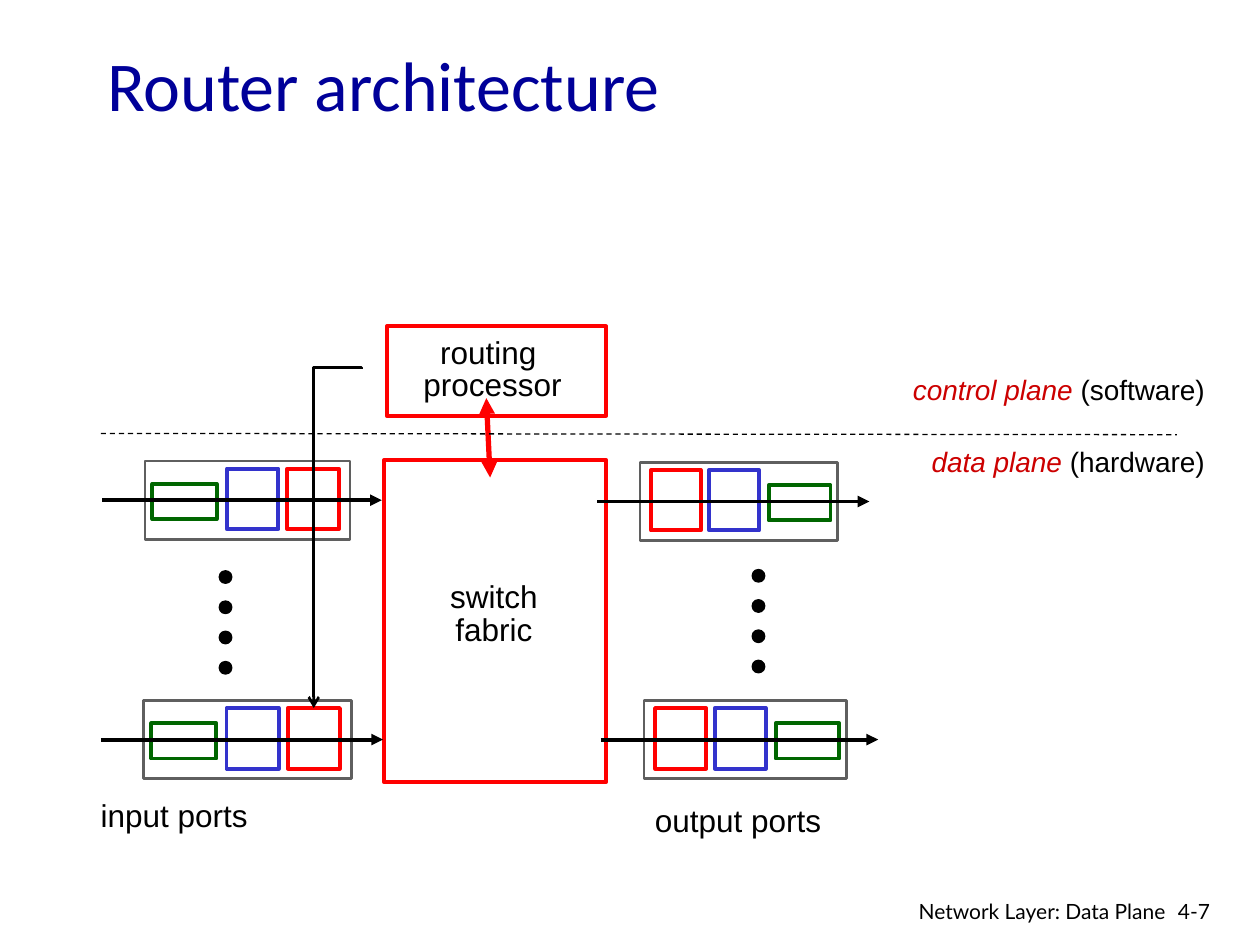
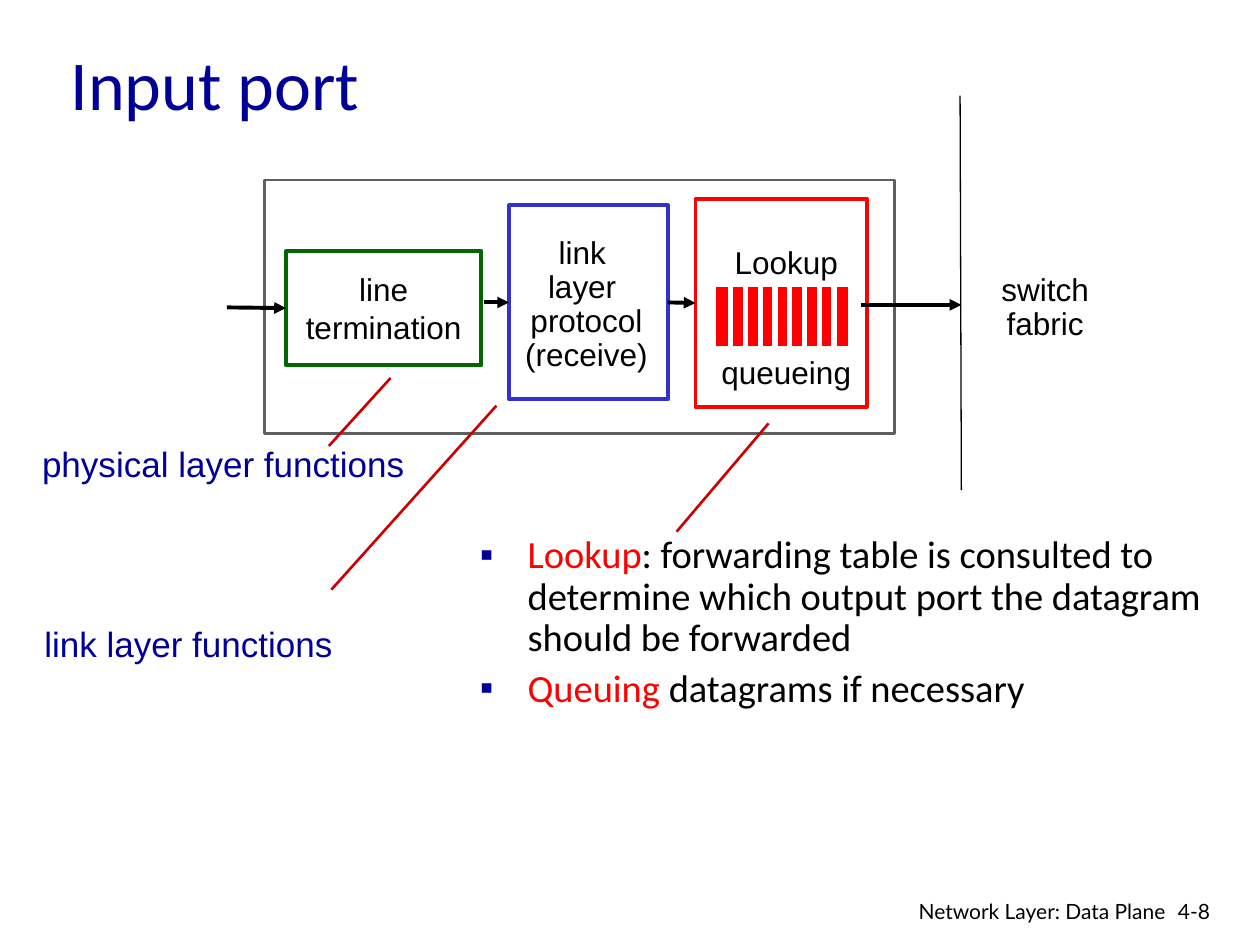
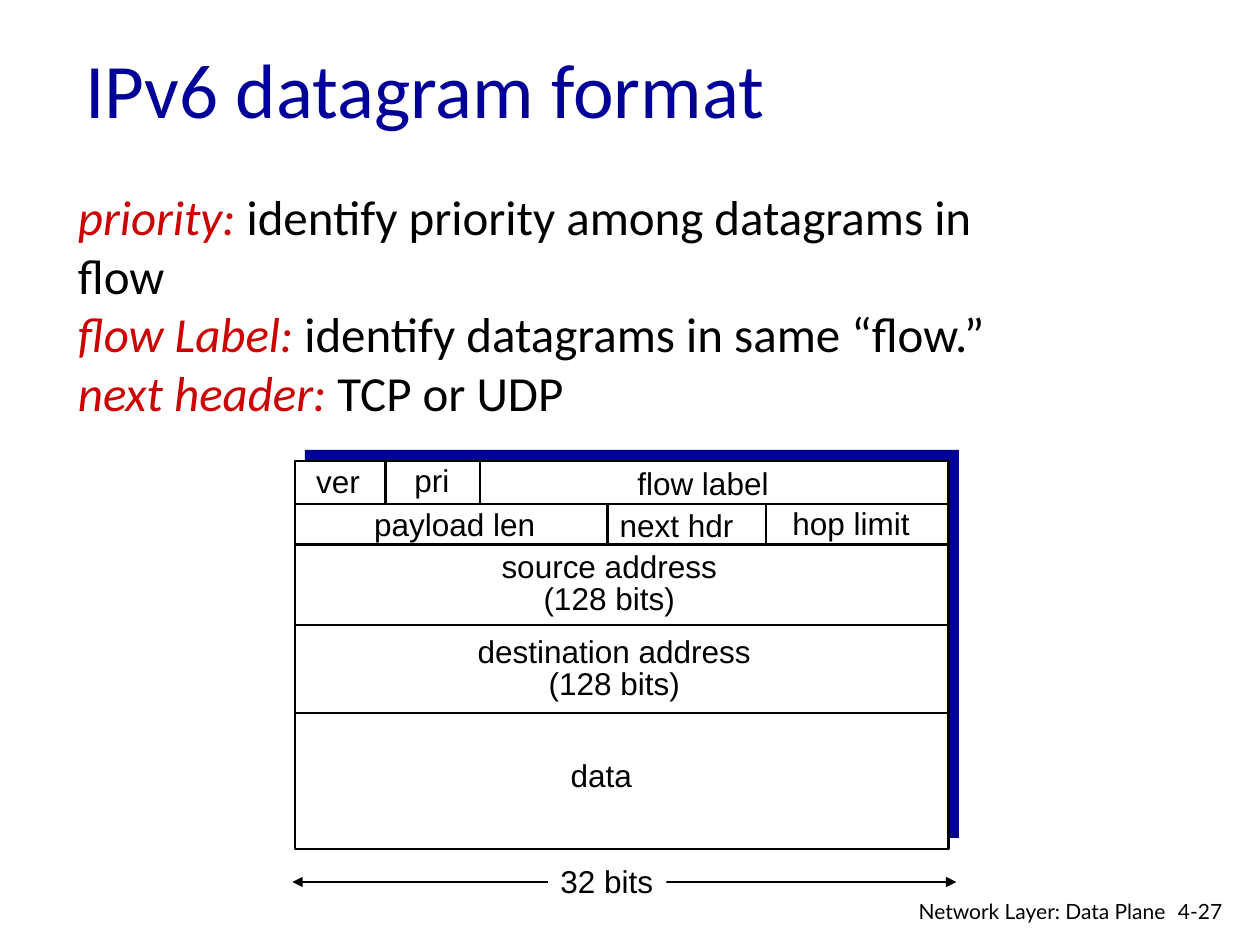
from dataclasses import dataclass
from typing import Any, NamedTuple

import lxml.etree
import pptx
import pptx.dml.color
import pptx.enum.dml
import pptx.enum.shapes
import pptx.enum.text
import pptx.oxml.ns
import pptx.util

Inches = pptx.util.Inches
Pt = pptx.util.Pt
qn = pptx.oxml.ns.qn
RECT = pptx.enum.shapes.MSO_SHAPE.RECTANGLE
OVAL = pptx.enum.shapes.MSO_SHAPE.OVAL
STRAIGHT = pptx.enum.shapes.MSO_CONNECTOR.STRAIGHT
ELBOW = pptx.enum.shapes.MSO_CONNECTOR.ELBOW
ALIGN = pptx.enum.text.PP_ALIGN
ANCHOR = pptx.enum.text.MSO_ANCHOR

# Shared colours and fonts
BLACK, WHITE, GRAY = "000000", "FFFFFF", "5F5F5F"
NAVY, RED, CRIMSON = "000099", "FF0000", "CC0000"
GREEN, BLUE = "006600", "3333CC"
DIAGRAM_FONT, READING_FONT, FOOTER_FONT = "Arial", "Calibri", "Lato"
FOOTER = "Network Layer: Data Plane"


class Box(NamedTuple):
    left: float
    top: float
    width: float
    height: float


class Run(NamedTuple):
    text: str
    color: str = BLACK
    italic: bool = False


@dataclass
class Style:
    font: str = DIAGRAM_FONT
    size: float = 18
    align: Any = ALIGN.LEFT
    spacing: float = 1.0
    wrap: bool = False
    anchor: Any = ANCHOR.TOP


@dataclass
class Label:
    box: Box
    lines: list[list[Run]]
    style: Style


PLAIN = Style()
TIGHT = Style(align=ALIGN.CENTER, spacing=0.85)
STAGE = Style(align=ALIGN.CENTER, spacing=0.9, anchor=ANCHOR.MIDDLE)


def rgb(color: str) -> pptx.dml.color.RGBColor:
    return pptx.dml.color.RGBColor.from_string(color)


def plain_lines(*texts: str, color: str = BLACK) -> list[list[Run]]:
    return [[Run(text, color)] for text in texts]


def add_element(parent: Any, tag: str, **attributes: str) -> Any:
    return lxml.etree.SubElement(parent, qn(tag), attributes)


# Drawing functions
def write(frame: Any, lines: list[list[Run]], style: Style) -> None:
    frame.word_wrap = style.wrap
    frame.vertical_anchor = style.anchor
    for index, runs in enumerate(lines):
        paragraph = frame.add_paragraph() if index else frame.paragraphs[0]
        paragraph.alignment = style.align
        paragraph.line_spacing = style.spacing
        for part in runs:
            run = paragraph.add_run()
            run.text = part.text
            run.font.name = style.font
            run.font.size = Pt(style.size)
            run.font.italic = part.italic
            run.font.color.rgb = rgb(part.color)


def add_label(shapes: Any, label: Label) -> Any:
    holder = shapes.add_textbox(*map(Inches, label.box))
    write(holder.text_frame, label.lines, label.style)
    return holder


def add_block(shapes: Any, box: Box, line: str | None = None, width: float = 2.25,
              fill: str = WHITE, kind: Any = RECT) -> Any:
    block = shapes.add_shape(kind, *map(Inches, box))
    block.shadow.inherit = False
    block.fill.solid()
    block.fill.fore_color.rgb = rgb(fill)
    if line:
        block.line.color.rgb = rgb(line)
        block.line.width = Pt(width)
    else:
        block.line.fill.background()
    return block


def add_line(shapes: Any, start: tuple[float, float], end: tuple[float, float],
             color: str = BLACK, width: float = 1.5, head: str = "", tail: str = "",
             dashed: bool = False, kind: Any = STRAIGHT) -> Any:
    line = shapes.add_connector(kind, *map(Inches, (*start, *end)))
    line.line.color.rgb = rgb(color)
    line.line.width = Pt(width)
    if dashed:
        line.line.dash_style = pptx.enum.dml.MSO_LINE.DASH
    properties = line.element.spPr
    outline = properties.find(qn("a:ln"))
    for tag, arrow in (("a:headEnd", head), ("a:tailEnd", tail)):
        if arrow:
            add_element(outline, tag, type=arrow)
    add_element(properties, "a:effectLst")
    return line


def add_arrow(shapes: Any, start: tuple[float, float], end: tuple[float, float]) -> Any:
    return add_line(shapes, start, end, width=2.25, tail="triangle")


def add_slide(deck: Any, title: str, box: Box, number: str, size: float = 40) -> Any:
    slide = deck.slides.add_slide(deck.slide_layouts[5])
    heading = slide.shapes.title
    heading.left, heading.top, heading.width, heading.height = map(Inches, box)
    write(heading.text_frame, plain_lines(title, color=NAVY),
          Style(READING_FONT, size, wrap=True, anchor=ANCHOR.MIDDLE))
    add_label(slide.shapes, Label(Box(9.25, 7.08, 0.61, 0.3), plain_lines(number),
                                  Style(FOOTER_FONT, 12, wrap=True)))
    add_label(slide.shapes, Label(Box(6.97, 7.08, 2.38, 0.26), plain_lines(FOOTER),
                                  Style(FOOTER_FONT, 12, ALIGN.RIGHT, wrap=True)))
    return slide


# Router architecture
class PortStage(NamedTuple):
    offset: float
    drop: float
    width: float
    height: float
    color: str


PORT_WIDTH, PORT_HEIGHT = 1.63, 0.62
PORT_STAGES = [
    PortStage(0.06, 0.18, 0.51, 0.28, GREEN),
    PortStage(0.65, 0.06, 0.41, 0.48, BLUE),
    PortStage(1.13, 0.06, 0.41, 0.48, RED),
]


def add_port(shapes: Any, left: float, top: float, width: float, mirrored: bool) -> None:
    port = shapes.add_group_shape().shapes
    add_block(port, Box(left, top, width, PORT_HEIGHT), GRAY, 1.5)
    scale = width / PORT_WIDTH
    for stage in PORT_STAGES:
        stage_width = stage.width * scale
        offset = stage.offset * scale
        if mirrored:
            offset = width - offset - stage_width
        add_block(port, Box(left + offset, top + stage.drop, stage_width, stage.height),
                  stage.color)
    middle = top + PORT_HEIGHT / 2
    add_arrow(port, (left - 0.34, middle), (left + width + 0.25, middle))


def add_dots(shapes: Any, left: float, top: float) -> None:
    dots = shapes.add_group_shape().shapes
    for index in range(4):
        add_block(dots, Box(left, top + 0.24 * index, 0.1, 0.1), BLACK, 0.75, BLACK, OVAL)


def router_slide(deck: Any) -> None:
    shapes = add_slide(deck, "Router architecture", Box(0.75, 0.33, 8.5, 0.67), "4-7").shapes

    # Switch fabric and routing processor
    add_block(shapes, Box(3.05, 3.65, 1.76, 2.56), RED)
    add_block(shapes, Box(3.07, 2.59, 1.74, 0.71), RED)
    add_label(shapes, Label(Box(3.47, 4.58, 0.9, 0.62), plain_lines("switch", "fabric"), TIGHT))
    add_label(shapes, Label(Box(3.26, 2.64, 1.3, 0.61),
                            plain_lines("routing ", "processor"), TIGHT))
    add_line(shapes, (3.86, 3.16), (3.89, 3.79), RED, 3, "triangle", "triangle")

    # Input and output ports
    add_port(shapes, 1.15, 3.66, 1.63, False)
    add_port(shapes, 1.14, 5.56, 1.65, False)
    add_dots(shapes, 1.74, 4.53)
    add_port(shapes, 5.08, 3.67, 1.57, True)
    add_port(shapes, 5.11, 5.56, 1.61, True)
    add_dots(shapes, 5.97, 4.52)
    add_label(shapes, Label(Box(0.7, 6.27, 1.38, 0.4), plain_lines("input ports"), PLAIN))
    add_label(shapes, Label(Box(5.1, 6.31, 1.53, 0.4), plain_lines("output ports"), PLAIN))

    # Control plane and data plane
    add_line(shapes, (0.8, 3.44), (9.34, 3.45), width=0.75, dashed=True)
    plane_style = Style(size=16, align=ALIGN.RIGHT, wrap=True)
    for plane, medium, top in (("data plane ", "(hardware)", 3.48),
                               ("control plane ", "(software)", 2.91)):
        add_label(shapes, Label(Box(6.51, top, 3.15, 0.37),
                                [[Run(plane, CRIMSON, True), Run(medium)]], plane_style))

    # Table update: a quarter turn makes the elbow run left, then down
    update = add_line(shapes, (1.33, 4.08), (4.03, 4.46), tail="arrow", kind=ELBOW)
    properties = update.element.spPr
    properties.xfrm.set("rot", "5400000")
    bends = properties.find(qn("a:prstGeom")).find(qn("a:avLst"))
    add_element(bends, "a:gd", name="adj1", fmla="val -100")


# Input port
def add_queue(shapes: Any, box: Box, first: float, last: float, count: int) -> None:
    queue = shapes.add_group_shape().shapes
    add_block(queue, box, WHITE, 3, RED)
    step = (last - first) / (count - 1)
    for index in range(count):
        x = first + index * step
        add_line(queue, (x, box.top), (x, box.top + box.height - 0.01), WHITE, 3)


def add_bullet(paragraph: Any) -> None:
    properties = paragraph._p.get_or_add_pPr()
    properties.set("marL", str(Inches(0.38)))
    properties.set("indent", str(Inches(-0.38)))
    add_element(add_element(properties, "a:buClr"), "a:srgbClr", val=NAVY)
    add_element(properties, "a:buFont", typeface=DIAGRAM_FONT)
    add_element(properties, "a:buChar", char="▪")


def input_port_slide(deck: Any) -> None:
    shapes = add_slide(deck, "Input port", Box(0.46, 0.32, 8.5, 0.67), "4-8").shapes

    # Stages of the port
    add_block(shapes, Box(2.1, 1.43, 5, 2.01), GRAY, 1.5)
    termination = add_block(shapes, Box(2.27, 1.99, 1.55, 0.91), GREEN)
    write(termination.text_frame, plain_lines("line", "termination"),
          Style(align=ALIGN.CENTER, anchor=ANCHOR.MIDDLE))
    link_layer = add_block(shapes, Box(4.04, 1.63, 1.26, 1.54), BLUE)
    lookup = add_block(shapes, Box(5.52, 1.58, 1.36, 1.65), RED)

    # Flow through the stages
    add_arrow(shapes, (1.8, 2.44), (2.26, 2.44)).end_connect(termination, 1)
    add_arrow(shapes, (3.84, 2.4), (4.04, 2.4)).end_connect(link_layer, 1)
    handover = add_arrow(shapes, (5.3, 2.4), (5.52, 2.4))
    handover.begin_connect(link_layer, 3)
    handover.end_connect(lookup, 1)
    add_arrow(shapes, (6.83, 2.42), (7.63, 2.42))

    # Stage names
    for box, texts in (
        (Box(4.08, 1.97, 1.15, 0.91), ("link ", "layer ", "protocol", "(receive)")),
        (Box(7.72, 1.99, 1.15, 0.91), ("switch", "fabric")),
    ):
        write(add_block(shapes, box).text_frame, plain_lines(*texts), STAGE)
    lookup_name = add_label(shapes, Label(Box(5.62, 1.88, 1.24, 1.33),
                                          plain_lines("Lookup", "queueing"),
                                          Style(align=ALIGN.CENTER)))
    lookup_name.text_frame.paragraphs[1].space_before = Pt(41.4)
    add_queue(shapes, Box(5.66, 2.26, 1.09, 0.51), 5.8, 6.62, 8)
    add_line(shapes, (7.62, 0.76), (7.63, 3.89), width=0.75)

    # Explanations and their leader lines
    caption = Style(size=20, align=ALIGN.RIGHT)
    add_label(shapes, Label(Box(0.21, 3.46, 3.1, 0.44),
                            plain_lines("physical layer functions", color=NAVY), caption))
    add_label(shapes, Label(Box(0.23, 4.89, 2.51, 0.44),
                            plain_lines("link layer functions", color=NAVY), caption))
    functions = add_label(shapes, Label(Box(3.71, 4.2, 5.97, 2.92), [
        [Run("Lookup", RED), Run(": forwarding table is consulted to determine which "
                                 "output port the datagram should be forwarded")],
        [Run("Queuing", RED), Run(" datagrams if necessary")],
    ], Style(READING_FONT, 22, spacing=0.9, wrap=True)))
    for paragraph in functions.text_frame.paragraphs:
        add_bullet(paragraph)
    functions.text_frame.paragraphs[1].space_before = Pt(5)
    for start, end in (((2.61, 3.54), (3.1, 3)), ((2.63, 4.68), (3.94, 3.22)),
                       ((5.37, 4.22), (6.1, 3.36))):
        add_line(shapes, start, end, CRIMSON)


# IPv6 datagram format
def datagram_slide(deck: Any) -> None:
    shapes = add_slide(deck, "IPv6 datagram format", Box(0.58, 0.2, 8.5, 0.99),
                       "4-27", 44).shapes

    # Field meanings
    add_label(shapes, Label(Box(0.52, 1.43, 8.06, 1.97), [
        [Run("priority:", CRIMSON, True), Run(" identify priority among datagrams in flow")],
        [Run("flow Label:", CRIMSON, True), Run(" identify datagrams in same “flow.”")],
        [Run("next header: ", CRIMSON, True), Run("TCP or UDP")],
    ], Style(READING_FONT, 28, wrap=True)))

    # Datagram outline, row rules and field dividers
    datagram = Box(2.34, 3.66, 5.19, 3.08)
    add_block(shapes, datagram._replace(left=2.42, top=3.57), fill=NAVY)
    add_block(shapes, datagram, BLACK, 1.5)
    right = datagram.left + datagram.width
    first_rule, second_rule = 4, 4.32
    for y in (first_rule, second_rule, 4.96, 5.66):
        add_line(shapes, (datagram.left, y), (right, y))
    for x in (3.06, 3.81):
        add_line(shapes, (x, datagram.top), (x, first_rule))
    for x in (4.82, 6.08):
        add_line(shapes, (x, first_rule), (x, second_rule))

    # Field names
    for name, left, top, width in (
        ("ver", 2.41, 3.62, 0.55), ("pri", 3.19, 3.61, 0.48),
        ("flow label", 4.96, 3.63, 1.24), ("payload len", 2.87, 3.96, 1.48),
        ("next hdr", 4.82, 3.97, 1.1), ("hop limit", 6.19, 3.95, 1.13),
        ("data", 4.43, 5.95, 0.69),
    ):
        add_label(shapes, Label(Box(left, top, width, 0.4), plain_lines(name), PLAIN))
    for name, left, top, width in (("source address", 3.88, 4.34, 1.91),
                                   ("destination address", 3.69, 5.01, 2.37)):
        add_label(shapes, Label(Box(left, top, width, 0.61),
                                plain_lines(name, "(128 bits)"), TIGHT))

    # Width of a row
    add_line(shapes, (2.32, 7), (7.59, 7), width=0.75, head="triangle", tail="triangle")
    row_width = add_block(shapes, Box(4.35, 6.79, 0.94, 0.4))
    write(row_width.text_frame, plain_lines("32 bits"), PLAIN)


def main() -> None:
    deck = pptx.Presentation()
    deck.slide_width, deck.slide_height = Inches(10), Inches(7.5)
    router_slide(deck)
    input_port_slide(deck)
    datagram_slide(deck)
    deck.save("out.pptx")


if __name__ == "__main__":
    main()
